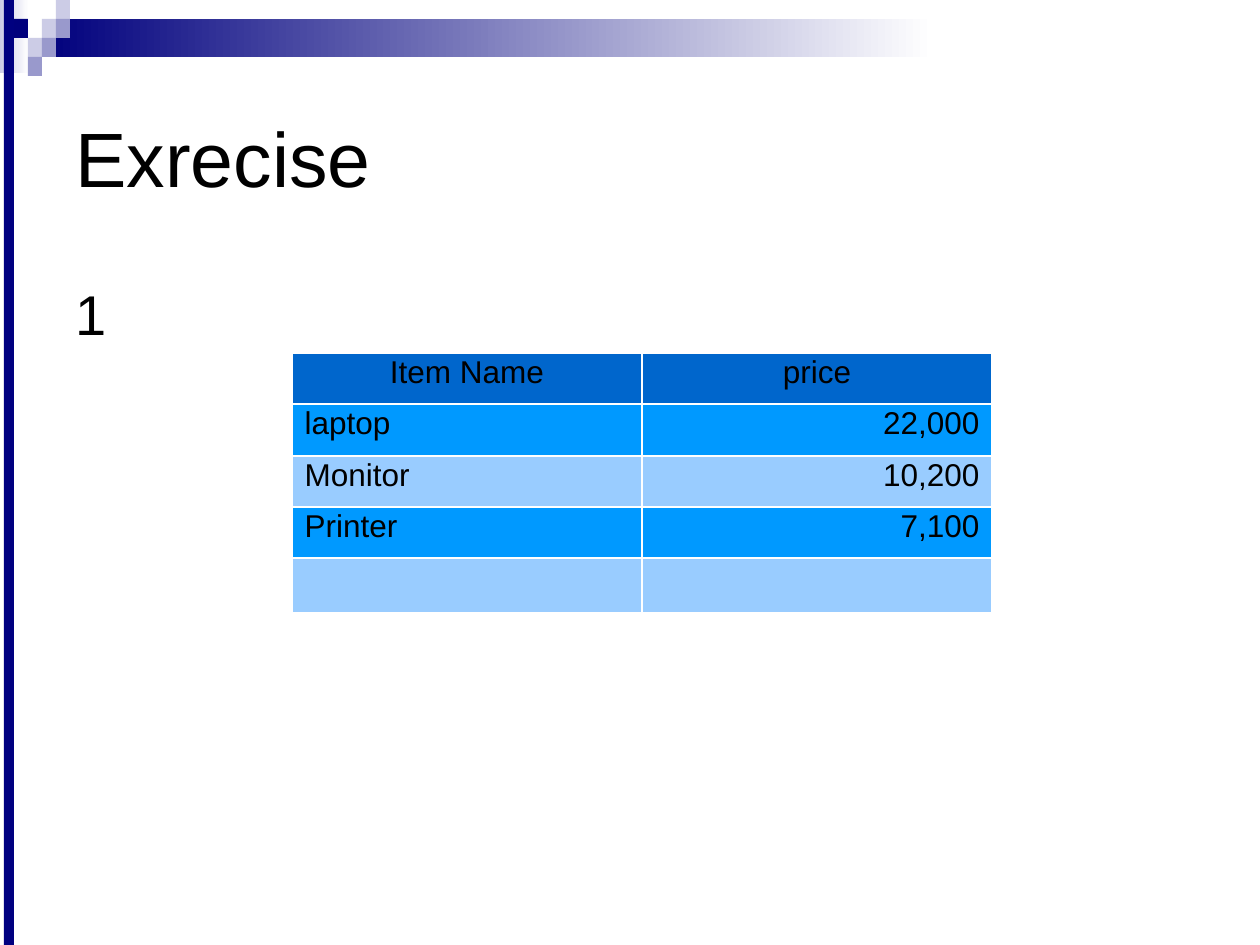
from pptx import Presentation, util as u
from pptx.dml.color import RGBColor
from pptx.enum import shapes, text

PX = 914400 // 126
NAVY, LILAC, VIOLET, WHITE, BLACK = "00007D", "CCCCE6", "9999CC", "FFFFFF", "000000"
FADES = [((0, 0, 29, 73), LILAC), ((42, 19, 892, 38), NAVY)]
SQUARE_W, SQUARE_H = 14, 19
SQUARES = [(3, 1, LILAC), (4, 0, LILAC), (4, 1, VIOLET), (2, 2, LILAC),
           (1, 1, NAVY), (3, 2, VIOLET), (2, 3, VIOLET)]
STRIPE = (4, 0, 10, 945)
HEADINGS = [("Exrecise", (63, 63, 1133, 188), 44, text.MSO_ANCHOR.MIDDLE, 0),
            ("1", (63, 273, 1133, 624), 32, text.MSO_ANCHOR.TOP, 8)]
PRICES = [("Item Name", "price"), ("laptop", "22,000"), ("Monitor", "10,200"),
          ("Printer", "7,100"), ("", "")]
PRICE_BOX = (292, 353, 700, 260)
ROW_HEIGHTS = [51, 52, 51, 51, 55]
HEADER_FILL, BAND_FILLS = "0066CC", ("99CCFF", "0099FF")


def emu(box):
    return [n * PX for n in box]


def colour(value):
    return RGBColor.from_string(value)


def add_block(slide, box):
    block = slide.shapes.add_shape(shapes.MSO_SHAPE.RECTANGLE, *emu(box))
    block.shadow.inherit = False
    block.line.fill.background()
    return block.fill


def add_solid(slide, box, shade):
    fill = add_block(slide, box)
    fill.solid()
    fill.fore_color.rgb = colour(shade)


def add_fade(slide, box, shade):
    fill = add_block(slide, box)
    fill.gradient()
    fill.gradient_angle = 0
    for stop, end in zip(fill.gradient_stops, (shade, WHITE)):
        stop.color.rgb = colour(end)


def write(frame, words, size):
    frame.text = words
    paragraph = frame.paragraphs[0]
    for run in paragraph.runs:
        run.font.name = "Arial"
        run.font.size = u.Pt(size)
        run.font.color.rgb = colour(BLACK)
    return paragraph


def add_heading(slide, words, box, size, anchor, before):
    frame = slide.shapes.add_textbox(*emu(box)).text_frame
    frame.word_wrap = True
    frame.vertical_anchor = anchor
    write(frame, words, size).space_before = u.Pt(before)


def add_prices(slide):
    table = slide.shapes.add_table(len(PRICES), 2, *emu(PRICE_BOX)).table
    for r, (entry, height) in enumerate(zip(PRICES, ROW_HEIGHTS)):
        table.rows[r].height = height * PX
        for c, words in enumerate(entry):
            cell = table.cell(r, c)
            cell.fill.solid()
            cell.fill.fore_color.rgb = colour(BAND_FILLS[r % 2] if r else HEADER_FILL)
            paragraph = write(cell.text_frame, words, 18)
            paragraph.line_spacing = 0.87
            sides = (text.PP_ALIGN.LEFT, text.PP_ALIGN.RIGHT)
            paragraph.alignment = sides[c] if r else text.PP_ALIGN.CENTER


def main():
    deck = Presentation()
    deck.slide_width, deck.slide_height = emu((1260, 945))
    slide = deck.slides.add_slide(deck.slide_layouts[6])
    for box, shade in FADES:
        add_fade(slide, box, shade)
    for column, row, shade in SQUARES:
        add_solid(slide, (column * SQUARE_W, row * SQUARE_H, SQUARE_W, SQUARE_H), shade)
    add_solid(slide, STRIPE, "000080")
    for heading in HEADINGS:
        add_heading(slide, *heading)
    add_prices(slide)
    deck.save("out.pptx")


if __name__ == "__main__":
    main()
